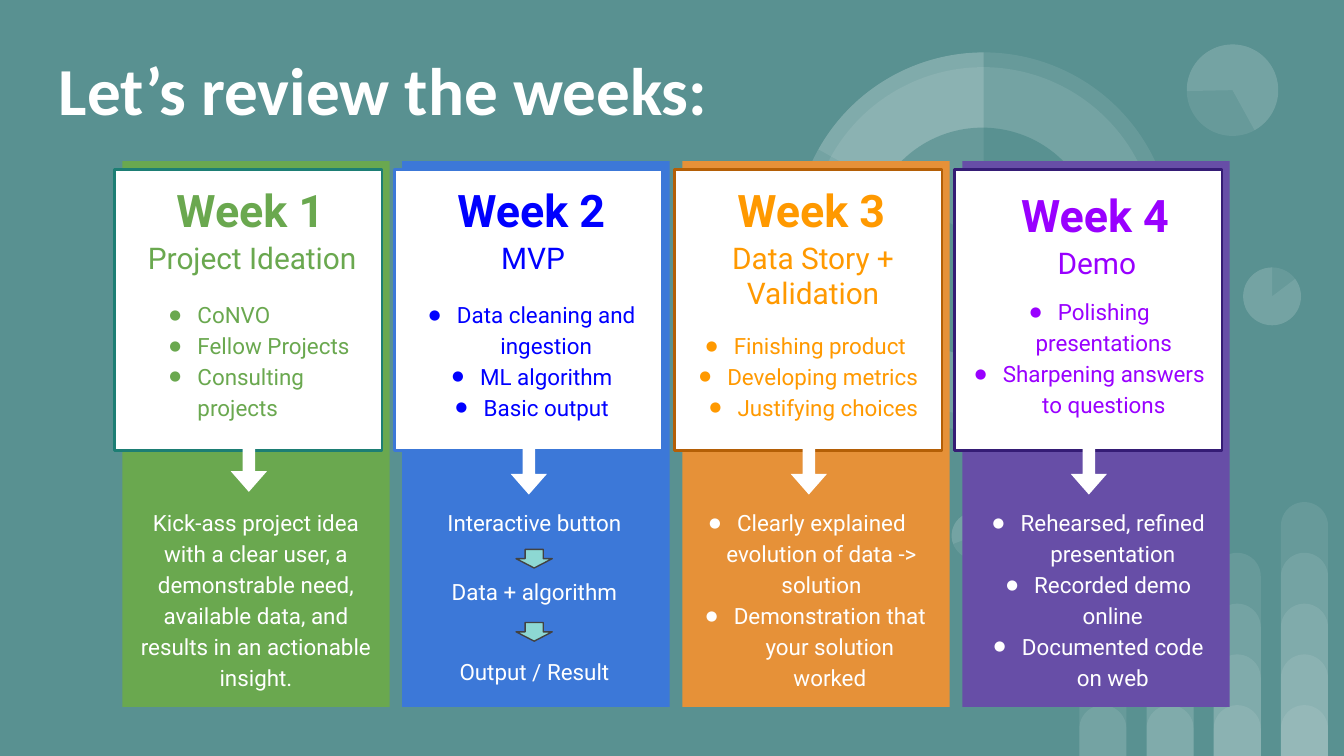
"""Build the slide that reviews the four project weeks."""
from dataclasses import dataclass
from typing import NamedTuple, Optional

from lxml.etree import SubElement
from pptx import Presentation
from pptx.dml.color import RGBColor as RGB
from pptx.enum.shapes import MSO_SHAPE as Kind
from pptx.enum.text import MSO_ANCHOR as Anchor, PP_ALIGN as Align
from pptx.oxml.ns import qn
from pptx.util import Pt


@dataclass(frozen=True)
class Theme:
    back: str = "599191"
    white: str = "FFFFFF"
    mint: str = "8DD8D3"
    edge: str = "424242"
    veil: int = 9
    title: int = 36
    week: int = 24
    topic: int = 16
    body: int = 12
    dot: int = 60
    head: str = "Calibri"
    font: str = "Roboto"


class Box(NamedTuple):
    x: float
    y: float
    w: float
    h: float


class Item(NamedTuple):
    text: str
    indent: Optional[float] = None
    align: Align = Align.CENTER


class Block(NamedTuple):
    box: Box
    items: list[Item]


class Week(NamedTuple):
    name: str
    topic: str
    ink: str
    panel: str
    edge: str
    shift: float
    drop: float
    stem: float
    tasks: Block
    goals: list[Block]


class Disc(NamedTuple):
    box: Box
    turn: float = 0
    start: Optional[float] = None
    fill: str = Theme.white
    veil: Optional[int] = Theme.veil


T = Theme()
LEFT, STEP, WIDE = 65.5, 150, 143.3
GOAL = 263.5

DOT = Box(666, 143.3, 31, 31)
TINY = Box(509.8, 274.3, 25.2, 25.2)
CLOCK = Box(635.8, 23.8, 49, 49)
RING = Box(425.5, 28.1, 203, 203)
DISCS = [
    Disc(DOT),
    Disc(TINY, 196.2),
    Disc(DOT, 0, 193.77),
    Disc(CLOCK, 215.9),
    Disc(CLOCK, 215.9, 193.77),
    Disc(RING),
    Disc(Box(433.4, 36, 186.5, 186.5), 34.1),
    Disc(RING, 0, 88.01),
    Disc(Box(465.1, 68.4, 122.4, 122.4), 34.1, None, T.back, None),
    Disc(RING, 0, 125.54),
    Disc(TINY, 196.2, 193.77),
]
ENDS = {CLOCK: 123.14}

WEEKS = [
    Week("Week 1", "Project Ideation", "6AA84F", "6AA84F", "1D7E74", 4.5, 0, 25.2,
         Block(Box(71.3, 151.9, 128.2, 77.8),
               [Item(s, 27.4, Align.LEFT)
                for s in ("CoNVO", "Fellow Projects", "Consulting projects")]),
         [Block(Box(65.5, GOAL, WIDE, 115.2),
                [Item("Kick-ass project idea with a clear user, a demonstrable need, "
                      "available data, and results in an actionable insight.")])]),
    Week("Week 2", "MVP", "0000FF", "3C78D8", "3C78D8", 5, 0, 28.1,
         Block(Box(221.8, 151.9, 128.2, 77.8),
               [Item(s, 13.5)
                for s in ("Data cleaning and ingestion", "ML algorithm", "Basic output")]),
         [Block(Box(214.7, y, WIDE, 28), [Item(s)])
          for y, s in ((GOAL, "Interactive button"), (300.2, "Data + algorithm"),
                       (343.4, "Output / Result"))]),
    Week("Week 3", "Data Story + Validation", "FF9900", "E69138", "B45F06", 5, 0, 28.1,
         Block(Box(361.5, 168.5, 137.5, 69.8),
               [Item("Finishing product", 18),
                Item("Developing metrics", 18, Align.RIGHT),
                Item("Justifying choices", 18, Align.RIGHT)]),
         [Block(Box(364.8, GOAL, 141.6, 95.8),
                [Item("Clearly explained evolution of data -> solution", 9),
                 Item("Demonstration that your solution worked", 18)])]),
    Week("Week 4", "Demo", "9900FF", "674EA7", "351C75", 7, 2.9, 28.1,
         Block(Box(511.2, 150.5, 146.9, 81.4),
               [Item(s, 13.5)
                for s in ("Polishing presentations", "Sharpening answers to questions")]),
         [Block(Box(515.5, GOAL, WIDE, 95.8),
                [Item(s, 18)
                 for s in ("Rehearsed, refined presentation", "Recorded demo online",
                           "Documented code on web")])]),
]


def shape(page, kind: Kind, box: Box, fill: str, edge: Optional[str] = None,
          width: float = 1.5, veil: Optional[int] = None, turn: float = 0,
          adj: tuple = ()) -> None:
    """Add a preset shape; veil is its opacity in percent."""
    item = page.shapes.add_shape(kind, *map(Pt, box))
    item.shadow.inherit = False
    item.rotation = turn
    for i, value in enumerate(adj):
        item.adjustments[i] = value
    item.fill.solid()
    item.fill.fore_color.rgb = RGB.from_string(fill)
    if veil is not None:
        tint = item.fill._xPr.find(qn("a:solidFill"))[0]
        SubElement(tint, qn("a:alpha"), val=str(veil * 1000))
    if edge:
        item.line.color.rgb = RGB.from_string(edge)
        item.line.width = Pt(width)
    else:
        item.line.fill.background()


def bullet(para, indent: float, ink: str) -> None:
    """Give a paragraph a hanging round bullet."""
    props = para._p.get_or_add_pPr()
    props.set("marL", str(Pt(indent)))
    props.set("indent", str(Pt(-15)))
    tint = SubElement(props, qn("a:buClr"))
    SubElement(tint, qn("a:srgbClr"), val=ink)
    SubElement(props, qn("a:buSzPct"), val=str(T.dot * 1000))
    SubElement(props, qn("a:buFont"), typeface=T.font)
    SubElement(props, qn("a:buChar"), char="●")


def write(page, block: Block, size: int, ink: str, bold: bool = False,
          space: float = 1, font: str = T.font, anchor: Anchor = Anchor.TOP) -> None:
    """Add a text box with one paragraph per item."""
    frame = page.shapes.add_textbox(*map(Pt, block.box)).text_frame
    frame.word_wrap = True
    frame.vertical_anchor = anchor
    frame.margin_left = frame.margin_right = Pt(7.2)
    frame.margin_top = frame.margin_bottom = Pt(7.2)
    for i, item in enumerate(block.items):
        para = frame.add_paragraph() if i else frame.paragraphs[0]
        para.text = item.text
        para.alignment = item.align
        para.line_spacing = space
        if item.indent is not None:
            bullet(para, item.indent, ink)
        para.font.name = font
        para.font.size = Pt(size)
        para.font.bold = bold
        para.font.color.rgb = RGB.from_string(ink)


def decor(page) -> None:
    """Draw the faint bars and discs behind the weeks."""
    for col in range(4):
        for part in range(1, col + 3):
            high = 27.2 * part
            shape(page, Kind.ROUND_2_SAME_RECTANGLE,
                  Box(578.2 + 36 * col, 405 - high, 25.2, high),
                  T.white, veil=T.veil, adj=(0.5, 0))
    for disc in DISCS:
        pie = disc.start is not None
        shape(page, Kind.PIE if pie else Kind.OVAL, disc.box, disc.fill,
              veil=disc.veil, turn=disc.turn,
              adj=(disc.start, ENDS.get(disc.box, 162)) if pie else ())


def column(page, week: Week, x: float) -> None:
    """Draw one week: panel, card, arrow and texts."""
    shape(page, Kind.RECTANGLE, Box(x, 86.4, WIDE, 292.3), week.panel)
    shape(page, Kind.RECTANGLE, Box(x - 4.1, 90.7, WIDE, 150.5), T.white, week.edge)
    shape(page, Kind.RIGHT_ARROW, Box(x + 67.8 - week.stem / 2, 241.2, week.stem, 19.4),
          T.white, turn=90, adj=(0.34, 0.57))
    left = x + week.shift
    write(page, Block(Box(left, 90.7 + week.drop, 128.2, 31.7), [Item(week.name)]),
          T.week, week.ink, bold=True)
    write(page, Block(Box(left + 1, 121 + week.drop, 128.2, 28), [Item(week.topic)]),
          T.topic, week.ink)
    write(page, week.tasks, T.body, week.ink, space=1.15)
    for goal in week.goals:
        write(page, goal, T.body, T.white, space=1.15)


def main() -> None:
    """Assemble and save the slide."""
    deck = Presentation()
    deck.slide_width, deck.slide_height = Pt(720), Pt(405)
    page = deck.slides.add_slide(deck.slide_layouts[6])
    page.background.fill.solid()
    page.background.fill.fore_color.rgb = RGB.from_string(T.back)
    decor(page)
    title = Item("Let’s review the weeks:", align=Align.LEFT)
    write(page, Block(Box(24.5, 20.2, 532, 54), [title]), T.title, T.white,
          bold=True, font=T.head, anchor=Anchor.MIDDLE)
    for i, week in enumerate(WEEKS):
        column(page, week, LEFT + STEP * i)
    for y in (294.3, 333.5):
        shape(page, Kind.DOWN_ARROW, Box(276.5, y, 19.4, 10), T.mint, T.edge, 0.75)
    deck.save("out.pptx")


if __name__ == "__main__":
    main()
